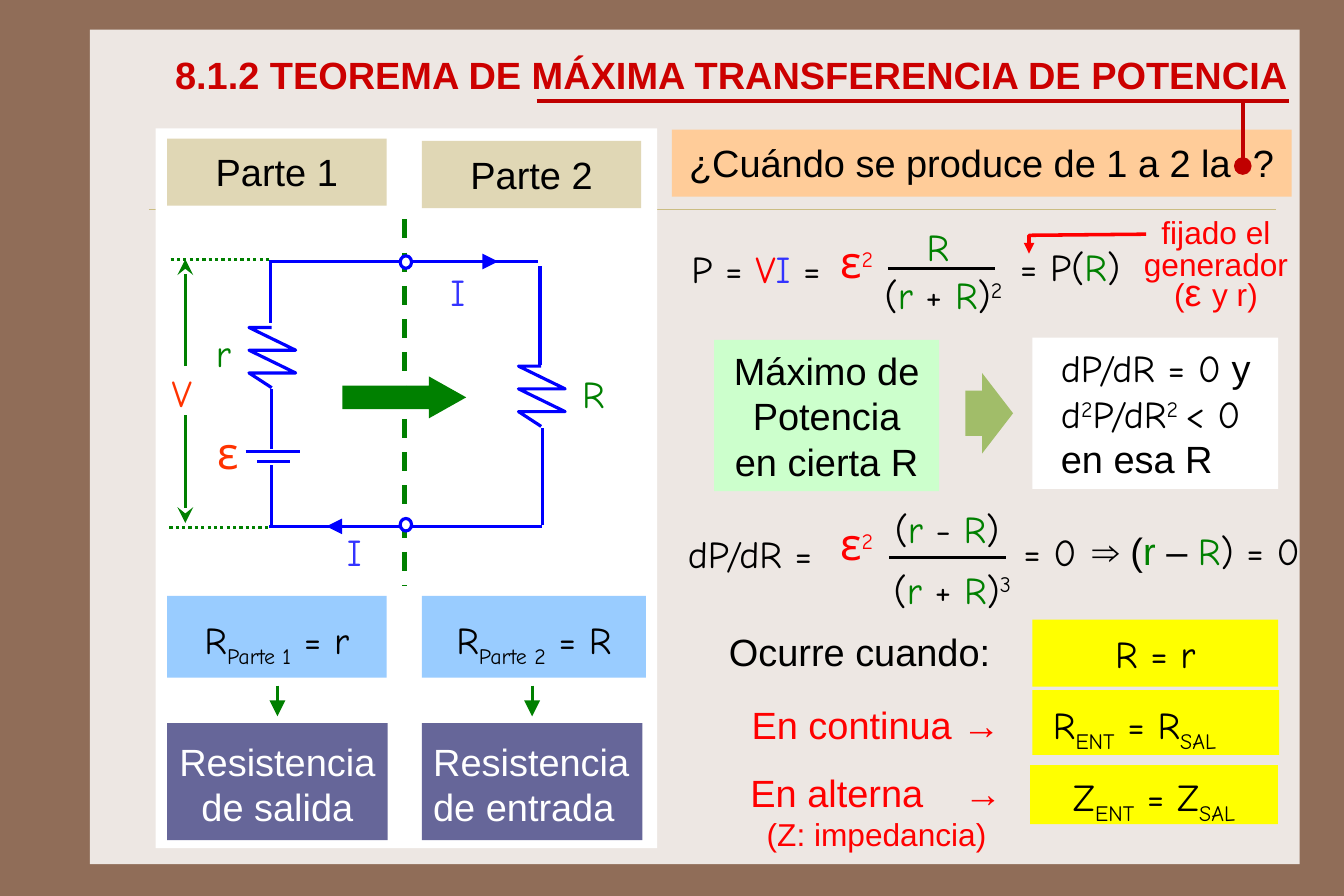
from dataclasses import dataclass
from lxml.etree import SubElement as Sub
from pptx import Presentation
from pptx.dml.color import RGBColor as RGB
from pptx.enum.dml import MSO_LINE as Dash
from pptx.enum.shapes import MSO_CONNECTOR as Link, MSO_SHAPE as Form
from pptx.enum.text import MSO_ANCHOR as Anchor, PP_ALIGN as Align
from pptx.oxml.ns import qn
from pptx.util import Pt

PX = 7200900 / 788
BROWN, CREAM, SAND = RGB(0x90, 0x6D, 0x58), RGB(0xED, 0xE7, 0xE3), RGB(0xE0, 0xD7, 0xB5)
TAN, PEACH, MINT = RGB(0xCB, 0xBD, 0x83), RGB(0xFF, 0xCC, 0x99), RGB(0xCC, 0xFF, 0xCC)
WHITE, BLACK, YELLOW = RGB(0xFF, 0xFF, 0xFF), RGB(0, 0, 0), RGB(0xFF, 0xFF, 0)
BLUE, INDIGO, SKY = RGB(0, 0, 0xFF), RGB(0x33, 0x33, 0xFF), RGB(0x99, 0xCC, 0xFF)
RED, ORANGE, CRIMSON = RGB(0xFF, 0, 0), RGB(0xFF, 0x33, 0), RGB(0xCC, 0, 0)
GARNET, GREEN, OLIVE = RGB(0xC0, 0, 0), RGB(0, 0x80, 0), RGB(0xA1, 0xBD, 0x69)
PURPLE = RGB(0x66, 0x66, 0x99)
ARIAL, COMIC = "Arial", "Comic Neue"
WIDE, THIN, EVEN = (10, 9, 10, 9), (8, 4, 8, 4), (10, 5, 10, 5)
LOW, HIGH = -25000, 30000
LEFT, MID = Align.LEFT, Align.CENTER


@dataclass(frozen=True)
class Run:
    """Stretch of text with what differs from its box."""
    text: str
    color: RGB | None = None
    base: int = 0
    face: str | None = None
    size: int | None = None


@dataclass(frozen=True)
class Box:
    """Rectangle or text box; each row is one paragraph."""
    at: tuple[int, int, int, int]
    rows: tuple[tuple[Run, ...], ...] = ()
    color: RGB = BLACK
    face: str = COMIC
    size: int = 24
    fill: RGB | None = None
    align: Align = LEFT
    anchor: Anchor = Anchor.TOP
    pad: tuple[int, int, int, int] = THIN
    wrap: bool = False
    space: float | Pt | None = None
    tab: int = 0
    bold: bool = False


@dataclass(frozen=True)
class Wire:
    """Straight line, with an optional dash and arrow tip."""
    ends: tuple[int, int, int, int]
    color: RGB = BLUE
    width: float = 2
    dash: Dash | None = None
    tip: str = ""


@dataclass(frozen=True)
class Glyph:
    """Preset shape without text."""
    form: Form
    at: tuple[int, int, int, int]
    fill: RGB
    edge: RGB | None = None
    bends: tuple[float, ...] = ()


@dataclass(frozen=True)
class Part:
    """Column for one half of the circuit."""
    num: int
    sign: str
    role: str
    left: int
    wide: int
    top: int
    align: Align


def emu(*sizes: int) -> list[int]:
    """Turn px into EMU."""
    return [round(PX * size) for size in sizes]


def rows(*lines: str) -> tuple[tuple[Run, ...], ...]:
    """Turn plain lines into rows of one run."""
    return tuple((Run(line),) for line in lines)


def pair(sign: str, power: str = "") -> tuple[tuple[Run, ...], ...]:
    """Give the row (r sign R) with a power."""
    row = (Run("("), Run("r ", GREEN), Run(sign + " "), Run("R", GREEN), Run(")"))
    return (row + ((Run(power, base=HIGH),) if power else ()),)


def match(sign: str) -> tuple[tuple[Run, ...], ...]:
    """Give the row that equates input and output."""
    return ((Run(sign), Run("ENT", base=LOW), Run(f" = {sign}"), Run("SAL", base=LOW)),)


def draw_box(slide, box: Box) -> None:
    """Draw a box and its text."""
    if box.fill is None:
        shape = slide.shapes.add_textbox(*emu(*box.at))
    else:
        shape = slide.shapes.add_shape(Form.RECTANGLE, *emu(*box.at))
        shape.shadow.inherit = False
        shape.fill.solid()
        shape.fill.fore_color.rgb = box.fill
        shape.line.fill.background()
    frame = shape.text_frame
    frame.word_wrap, frame.vertical_anchor = box.wrap, box.anchor
    (frame.margin_left, frame.margin_top,
     frame.margin_right, frame.margin_bottom) = emu(*box.pad)
    for num, row in enumerate(box.rows):
        para = frame.add_paragraph() if num else frame.paragraphs[0]
        para.alignment, para.line_spacing = box.align, box.space
        if box.tab:
            tabs = Sub(para._p.get_or_add_pPr(), qn("a:tabLst"))
            Sub(tabs, qn("a:tab"), pos=str(emu(box.tab)[0]), algn="l")
        font = para.font
        font.name, font.size, font.bold = box.face, Pt(box.size), box.bold
        mixed = any(part.color for part in row)
        if not mixed:
            font.color.rgb = box.color
        for part in row:
            run = para.add_run()
            run.text = part.text
            if mixed:
                run.font.color.rgb = part.color or box.color
            if part.face:
                run.font.name = part.face
            if part.size:
                run.font.size = Pt(part.size)
            if part.base:
                run._r.get_or_add_rPr().set("baseline", str(part.base))


def style(line, color: RGB, width: float, tip: str = "", scale: str = "lg") -> None:
    """Set a line's colour, width and tip."""
    line.color.rgb, line.width = color, Pt(width)
    if tip:
        Sub(line._get_or_add_ln(), qn("a:tailEnd"), type=tip, w=scale, len=scale)


def draw_wire(slide, wire: Wire) -> None:
    """Draw a straight line."""
    link = slide.shapes.add_connector(Link.STRAIGHT, *emu(*wire.ends))
    if wire.dash:
        link.line.dash_style = wire.dash
    style(link.line, wire.color, wire.width, wire.tip)
    Sub(link._element.spPr, qn("a:effectLst"))


def draw_trace(slide, dots: list[tuple[int, int]], color: RGB, width: float, tip: str = "") -> None:
    """Draw an open line through the dots."""
    pen = slide.shapes.build_freeform(*dots[0], scale=PX)
    pen.add_line_segments(dots[1:], close=False)
    trace = pen.convert_to_shape()
    trace.shadow.inherit = False
    trace.fill.background()
    style(trace.line, color, width, tip, "med")


def draw_glyph(slide, glyph: Glyph) -> None:
    """Draw a preset shape."""
    shape = slide.shapes.add_shape(glyph.form, *emu(*glyph.at))
    shape.shadow.inherit = False
    for num, bend in enumerate(glyph.bends):
        shape.adjustments[num] = bend
    shape.fill.solid()
    shape.fill.fore_color.rgb = glyph.fill
    if glyph.edge:
        style(shape.line, glyph.edge, 2)
    else:
        shape.line.fill.background()


def draw_part(slide, part: Part) -> None:
    """Draw the labels of one column."""
    left, name = part.left, f"Parte {part.num}"
    total = ((Run("R"), Run(name, base=LOW), Run(f" = {part.sign}")),)
    for box in (Box((left, part.top, 193, 59), rows(name), face=ARIAL, fill=SAND, align=MID,
                    pad=WIDE, wrap=True),
                Box((left, 524, part.wide, 72), total, fill=SKY, align=MID, anchor=Anchor.MIDDLE,
                    pad=(12, 4, 12, 12), wrap=True, space=1.4),
                Box((left, 636, 194, 103), rows("Resistencia", part.role), WHITE, ARIAL,
                    fill=PURPLE, align=part.align, anchor=Anchor.MIDDLE, pad=(10, 13, 10, 9))):
        draw_box(slide, box)
    draw_wire(slide, Wire((left + 97, 603, left + 97, 630), GREEN, tip="triangle"))


PARTS = [Part(1, "r", "de salida", 147, 193, 122, MID),
         Part(2, "R", "de entrada", 371, 197, 124, LEFT)]
BASE = [Box((79, 26, 1064, 734), fill=CREAM), Box((137, 113, 441, 633), fill=WHITE)]
MIDDLE = Anchor.MIDDLE
LABELS = [
    Box((143, 40, 1018, 51), rows("8.1.2 TEOREMA DE MÁXIMA TRANSFERENCIA DE POTENCIA"), CRIMSON,
        ARIAL, anchor=MIDDLE, pad=(11, 5, 11, 5), wrap=True, bold=True),
    Box((504, 322, 38, 49), rows("R"), GREEN), Box((182, 286, 29, 49), rows("r"), GREEN),
    Box((183, 370, 29, 56), rows("ε"), ORANGE, size=28), Box((143, 321, 39, 49), rows("V"), ORANGE),
    *[Box((x, y, 38, 51), rows("I"), INDIGO, pad=EVEN) for x, y in ((386, 231), (295, 460))],
    Box((591, 114, 545, 59), rows("¿Cuándo se produce de 1 a 2 la\t?"), face=ARIAL, fill=PEACH,
        pad=(15, 9, 5, 9), wrap=True, tab=496),
    Box((600, 212, 159, 49), ((Run("P = "), Run("V", RED), Run("I", INDIGO), Run(" =")),)),
    *[Box((731, y, 48, 56), ((Run("ε", size=28), Run("2", base=HIGH)),), RED) for y in (202, 450)],
    Box((805, 192, 41, 51), rows("R"), GREEN, pad=EVEN), Box((770, 235, 129, 49), pair("+", "2")),
    Box((889, 210, 107, 49), ((Run("= P("), Run("R", GREEN), Run(")")),)),
    Box((982, 184, 175, 103),
        ((Run("fijado el generador ("), Run("ε ", size=24), Run("y r)")),), RED, ARIAL, 20,
        align=MID, pad=WIDE, wrap=True, space=Pt(20)),
    Box((628, 299, 198, 133), rows("Máximo de", "Potencia", "en cierta R"), face=ARIAL, fill=MINT,
        align=MID, anchor=MIDDLE, pad=(10, 4, 10, 4), wrap=True),
    Box((908, 297, 216, 133),
        ((Run("dP/dR = 0"), Run(" y", face=ARIAL)),
         (Run("d"), Run("2", base=HIGH), Run("P/dR"), Run("2 ", base=HIGH), Run("< 0")),
         (Run("en esa R", face=ARIAL),)),
        fill=WHITE, anchor=MIDDLE, pad=(25, 4, 10, 4), wrap=True),
    Box((595, 458, 143, 59), rows("dP/dR ="), pad=WIDE), Box((779, 441, 113, 49), pair("-")),
    Box((778, 494, 129, 49), pair("+", "3")), Box((892, 461, 65, 49), rows("= 0")),
    Box((951, 455, 213, 59),
        ((Run("⇒ ("), Run("r", GREEN), Run(" – "), Run("R", GREEN, face=COMIC),
          Run(") = 0", face=COMIC)),), face=ARIAL, pad=WIDE),
    Box((631, 543, 255, 59), rows("Ocurre cuando:"), face=ARIAL, anchor=MIDDLE, pad=WIDE, wrap=True),
    Box((651, 608, 242, 59), rows("En continua →"), RED, ARIAL, pad=WIDE, wrap=True),
    Box((650, 668, 260, 59), rows("En alterna\t→"), RED, ARIAL, pad=WIDE, wrap=True, tab=188),
    Box((660, 708, 222, 52), rows("(Z: impedancia)"), RED, ARIAL, 20, align=MID, pad=WIDE),
    Box((908, 545, 216, 59), rows("R = r"), fill=YELLOW, align=MID, anchor=MIDDLE, pad=WIDE, wrap=True),
    Box((908, 607, 217, 57), match("R"), fill=YELLOW, anchor=MIDDLE, pad=(18, 12, 8, 12),
        wrap=True, space=1.2),
    Box((906, 673, 218, 52), match("Z"), fill=YELLOW, align=MID, anchor=MIDDLE,
        pad=(8, 12, 8, 12), wrap=True, space=1.2)]
LOOP = [(355, 230, 473, 230), (359, 463, 477, 463), (477, 462, 477, 376), (475, 321, 475, 234),
        (237, 463, 355, 463), (237, 230, 355, 230), (216, 397, 264, 397), (226, 406, 255, 406),
        (239, 395, 239, 342), (239, 409, 239, 462), (238, 284, 238, 231)]
WIRES = [
    Wire((356, 193, 356, 515), GREEN, 3, Dash.DASH), *[Wire(ends) for ends in LOOP],
    *[Wire(ends, width=1, tip="triangle") for ends in ((428, 230, 438, 230), (292, 463, 287, 463))],
    *[Wire((x, y, x + 87, y), GREEN, dash=Dash.ROUND_DOT) for x, y in ((150, 228), (149, 464))],
    *[Wire((163, y, 163, end), GREEN, tip="stealth") for y, end in ((322, 228), (365, 460))],
    Wire((781, 236, 875, 236), BLACK), Wire((782, 490, 885, 490), BLACK),
    Wire((472, 89, 1134, 89), GARNET, 2.25), Wire((1093, 91, 1093, 146), GARNET, 2.25, tip="oval")]
ZIGZAG = [(20, 53), (0, 40), (41, 40), (0, 20), (41, 20), (0, 0), (20, 0)]
GLYPHS = [
    *[Glyph(Form.OVAL, (352, y, 10, 11), WHITE, BLUE) for y in (225, 456)],
    Glyph(Form.RIGHT_ARROW, (301, 331, 109, 37), GREEN, bends=(0.56, 0.89)),
    Glyph(Form.RIGHT_ARROW, (849, 328, 42, 71), OLIVE, bends=(0.56, 0.65))]


def main() -> None:
    """Build the slide and save it."""
    deck = Presentation()
    deck.slide_width, deck.slide_height = emu(1182, 788)
    slide = deck.slides.add_slide(deck.slide_layouts[6])
    slide.background.fill.solid()
    slide.background.fill.fore_color.rgb = BROWN
    draw_box(slide, BASE[0])
    draw_wire(slide, Wire((131, 184, 1122, 184), TAN, 0.25))
    draw_box(slide, BASE[1])
    for part in PARTS:
        draw_part(slide, part)
    for box in LABELS:
        draw_box(slide, box)
    for wire in WIRES:
        draw_wire(slide, wire)
    for left, top in ((456, 322), (219, 288)):
        draw_trace(slide, [(left + x, top + y) for x, y in ZIGZAG], BLUE, 2)
    draw_trace(slide, [(1008, 206), (905, 207), (905, 223)], RED, 2.25, "triangle")
    for glyph in GLYPHS:
        draw_glyph(slide, glyph)
    deck.save("out.pptx")


if __name__ == "__main__":
    main()
